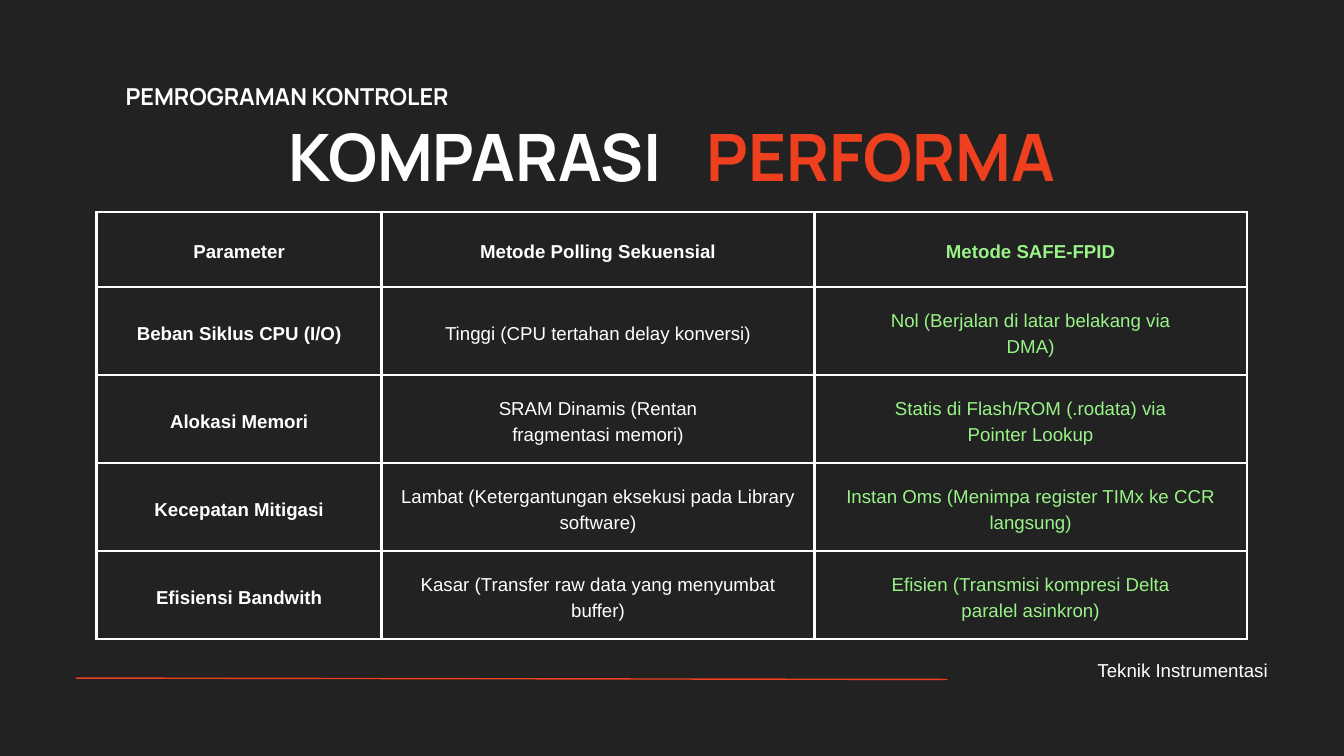
from dataclasses import dataclass

from lxml.etree import SubElement as Sub
from pptx import Presentation
from pptx.dml.color import RGBColor as RGB
from pptx.enum.shapes import MSO_CONNECTOR as Link
from pptx.enum.text import MSO_ANCHOR as Anchor, MSO_AUTO_SIZE as Fit, PP_ALIGN as Align
from pptx.oxml import parse_xml
from pptx.oxml.ns import nsdecls, qn
from pptx.util import Pt


@dataclass(frozen=True)
class Theme:
    """Colours, fonts and type sizes of the slide."""
    back: str = "222222"
    text: str = "FFFFFF"
    accent: str = "EE3F1E"
    good: str = "99F387"
    head: str = "Manrope"
    body: str = "Arial"
    big: int = 70
    mid: int = 25
    small: int = 20


THEME = Theme()
COLS = [305.5, 463.5, 463.5]
ROWS = [80.6] + [94.3] * 4
CELLS = [
    ["Parameter", "Metode Polling Sekuensial", "Metode SAFE-FPID"],
    ["Beban Siklus CPU (I/O)", "Tinggi (CPU tertahan delay konversi)",
     "Nol (Berjalan di latar belakang via\nDMA)"],
    ["Alokasi Memori", "SRAM Dinamis (Rentan\nfragmentasi memori)",
     "Statis di Flash/ROM (.rodata) via\nPointer Lookup"],
    ["Kecepatan Mitigasi",
     "Lambat (Ketergantungan eksekusi pada Library software)",
     "Instan Oms (Menimpa register TIMx ke CCR langsung)"],
    ["Efisiensi Bandwith", "Kasar (Transfer raw data yang menyumbat buffer)",
     "Efisien (Transmisi kompresi Delta\nparalel asinkron)"],
]


def style(frame, face, size, color, bold, align):
    """Format every paragraph of a frame, with line spacing of 1.4 times the size."""
    for para in frame.paragraphs:
        para.alignment = align
        para.line_spacing = Pt(round(size * 1.4))
        for run in para.runs:
            font = run.font
            font.name, font.size, font.bold = face, Pt(size), bold
            font.color.rgb = RGB.from_string(color)


def label(shape, box, text, face, size, color, bold=True, align=Align.LEFT):
    """Place a text shape without margins and fill in its wording."""
    shape.left, shape.top, shape.width, shape.height = map(Pt, box)
    frame = shape.text_frame
    frame.text = text
    frame.word_wrap, frame.auto_size = True, Fit.NONE
    frame.vertical_anchor = Anchor.TOP
    frame.margin_left = frame.margin_right = 0
    frame.margin_top = frame.margin_bottom = 0
    style(frame, face, size, color, bold, align)


def note(slide, box, *args, **more):
    """Add a text box and format it as a label."""
    label(slide.shapes.add_textbox(*map(Pt, box)), box, *args, **more)


def border(cell, color, width):
    """Draw the four edges of a cell."""
    props = cell._tc.get_or_add_tcPr()
    for spot, side in enumerate(("lnL", "lnR", "lnT", "lnB")):
        props.insert(spot, parse_xml(
            f'<a:{side} {nsdecls("a")} w="{Pt(width)}"><a:solidFill>'
            f'<a:srgbClr val="{color}"/></a:solidFill></a:{side}>'))


def grid(slide, left, top):
    """Add the comparison table."""
    box = map(Pt, (left, top, sum(COLS), sum(ROWS)))
    table = slide.shapes.add_table(len(ROWS), len(COLS), *box).table
    table.horz_banding = table.first_row = False
    for col, width in zip(table.columns, COLS):
        col.width = Pt(width)
    for r, (row, height) in enumerate(zip(table.rows, ROWS)):
        row.height = Pt(height)
        for c, cell in enumerate(row.cells):
            cell.text_frame.text = CELLS[r][c]
            cell.vertical_anchor = Anchor.MIDDLE
            cell.margin_left = cell.margin_right = Pt(15)
            cell.margin_top = cell.margin_bottom = Pt(15)
            cell.fill.background()
            border(cell, THEME.text, 3)
            color = THEME.good if c == 2 else THEME.text
            style(cell.text_frame, THEME.body, THEME.small, color,
                  r == 0 or c == 0, Align.CENTER)


def rule(slide, *ends):
    """Add the thin accent line."""
    line = slide.shapes.add_connector(Link.STRAIGHT, *map(Pt, ends))
    line.line.color.rgb = RGB.from_string(THEME.accent)
    line.line.width = Pt(1.5)
    Sub(line._element.spPr, qn("a:effectLst"))


def main():
    """Build the slide and save it."""
    deck = Presentation()
    deck.slide_width, deck.slide_height = Pt(1440), Pt(810)
    slide = deck.slides.add_slide(deck.slide_layouts[5])
    fill = slide.background.fill
    fill.solid()
    fill.fore_color.rgb = RGB.from_string(THEME.back)
    rule(slide, 81.5, 726.5, 1015, 728)
    grid(slide, 103.5, 227)
    label(slide.shapes.title, (309, 110, 823, 98.5), "KOMPARASI",
          THEME.head, THEME.big, THEME.text)
    note(slide, (728, 110, 403, 98.5), "PERFORMA",
         THEME.head, THEME.big, THEME.accent, align=Align.RIGHT)
    note(slide, (1053.5, 702, 305, 27), "Teknik Instrumentasi",
         THEME.body, THEME.small, THEME.text, bold=False, align=Align.RIGHT)
    note(slide, (134.5, 83, 384.5, 34.5), "PEMROGRAMAN KONTROLER",
         THEME.head, THEME.mid, THEME.text)
    deck.save("out.pptx")


if __name__ == "__main__":
    main()
